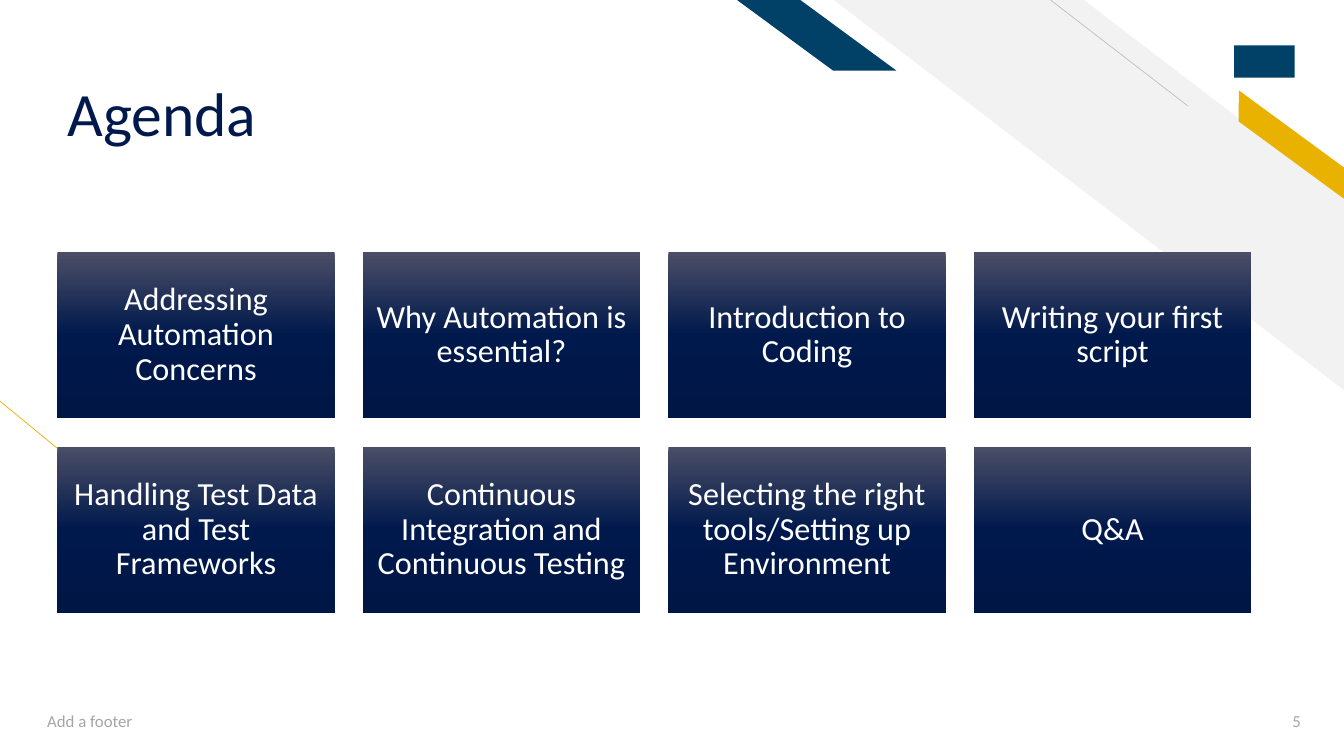
"""Build an agenda slide: eight topic cards on a slide with slanted bands."""
from copy import deepcopy

from pptx import Presentation
from pptx.dml.color import RGBColor
from pptx.enum.shapes import MSO_CONNECTOR, MSO_SHAPE
from pptx.enum.text import MSO_ANCHOR, PP_ALIGN
from pptx.oxml.ns import qn
from pptx.util import Inches, Pt

NAVY = RGBColor(0x00, 0x19, 0x4C)
SLATE = RGBColor(0x4B, 0x4E, 0x66)
DEEP = RGBColor(0x00, 0x16, 0x44)
TEAL = RGBColor(0x01, 0x40, 0x67)
GOLD = RGBColor(0xEA, 0xB2, 0x00)
PALE = RGBColor(0xF2, 0xF2, 0xF2)
SILVER = RGBColor(0xBF, 0xBF, 0xBF)
GREY = RGBColor(0xA5, 0xA5, 0xA5)
WHITE = RGBColor(0xFF, 0xFF, 0xFF)

LEFT, TOP = 0.57, 2.5
WIDE, HIGH, GAP = 2.75, 1.65, 0.28
COLS = 4
TOPICS = [
    "Addressing Automation Concerns",
    "Why Automation is essential?",
    "Introduction to Coding",
    "Writing your first script",
    "Handling Test Data and Test Frameworks",
    "Continuous Integration and Continuous Testing",
    "Selecting the right tools/Setting up Environment",
    "Q&A",
]


def write(shape, text, size=12, color=GREY, align=PP_ALIGN.LEFT,
          anchor=MSO_ANCHOR.MIDDLE, top=0.05, base=0.05, lines=1.0, after=0):
    frame = shape.text_frame
    frame.word_wrap = True
    frame.vertical_anchor = anchor
    frame.margin_left = frame.margin_right = Inches(0.1)
    frame.margin_top, frame.margin_bottom = Inches(top), Inches(base)
    para = frame.paragraphs[0]
    para.alignment = align
    para.line_spacing = lines
    para.space_after = Pt(after)
    run = para.add_run()
    run.text = text
    run.font.name = "Calibri"
    run.font.size = Pt(size)
    run.font.color.rgb = color


def label(slide, box, text, **style):
    write(slide.shapes.add_textbox(*map(Inches, box)), text, **style)


def block(slide, kind, box, color, slant=None, turn=0):
    shape = slide.shapes.add_shape(kind, *map(Inches, box))
    shape.shadow.inherit = False
    shape.fill.solid()
    shape.fill.fore_color.rgb = color
    shape.line.fill.background()
    shape.rotation = turn
    if slant is not None:
        shape.adjustments[0] = slant
        shape.element.spPr.xfrm.set("flipH", "1")
    return shape


def rule(slide, start, end, color):
    line = slide.shapes.add_connector(
        MSO_CONNECTOR.STRAIGHT, *map(Inches, start + end))
    line.line.color.rgb = color
    line.line.width = Pt(0.5)
    props = line.element.spPr
    props.append(props.makeelement(qn("a:effectLst"), {}))


def shade(shape):
    fill = shape.fill
    fill.gradient()
    fill.gradient_angle = 270
    stops = shape.element.spPr.find(".//" + qn("a:gsLst"))
    stops.insert(1, deepcopy(stops[0]))
    for stop, color, place in zip(
            fill.gradient_stops, (SLATE, NAVY, DEEP), (0, 0.5, 1)):
        stop.color.rgb = color
        stop.position = place


def card(slide, index, text):
    row, col = divmod(index, COLS)
    box = (LEFT + col * (WIDE + GAP), TOP + row * (HIGH + GAP), WIDE, HIGH)
    shape = block(slide, MSO_SHAPE.RECTANGLE, box, NAVY)
    shade(shape)
    write(shape, text, size=23, color=WHITE, align=PP_ALIGN.CENTER,
          top=0.1, base=0.1, lines=0.9)


def decor(slide):
    rule(slide, (2.08, 5.69), (0, 3.98), GOLD)
    block(slide, MSO_SHAPE.DIAGONAL_STRIPE, (8.27, 0, 5.06, 3.87), PALE, 0.51)
    rule(slide, (11.78, 1.05), (10.42, 0), SILVER)
    block(slide, MSO_SHAPE.PARALLELOGRAM, (12.07, 1.31, 1.48, 0.25),
          GOLD, 0.72, 36.3)
    block(slide, MSO_SHAPE.RECTANGLE, (12.24, 0.45, 0.6, 0.32), TEAL)
    block(slide, MSO_SHAPE.PARALLELOGRAM, (7.31, 0, 1.58, 0.7), TEAL, 1.36)


def main():
    deck = Presentation()
    deck.slide_width, deck.slide_height = Inches(13.33), Inches(7.5)
    slide = deck.slides.add_slide(deck.slide_layouts[6])
    decor(slide)
    label(slide, (0.37, 6.95, 4.5, 0.4), "Add a footer", after=6)
    label(slide, (12.19, 6.95, 0.81, 0.4), "5",
          align=PP_ALIGN.RIGHT, after=6)
    label(slide, (LEFT, 0.23, 9.11, 1.26), "Agenda", size=44, color=NAVY,
          anchor=MSO_ANCHOR.BOTTOM, base=0, lines=0.9)
    for index, topic in enumerate(TOPICS):
        card(slide, index, topic)
    deck.save("out.pptx")


if __name__ == "__main__":
    main()
